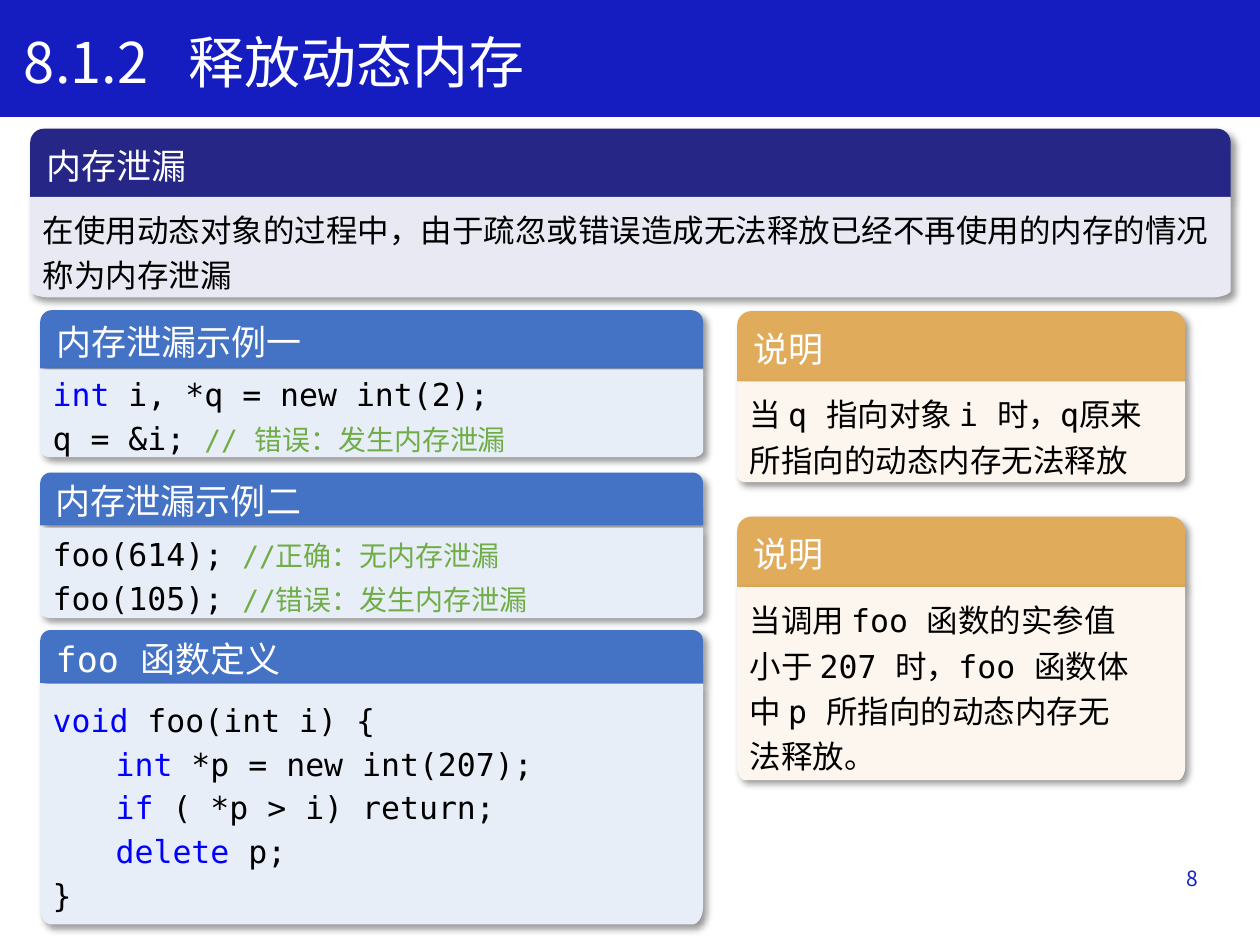
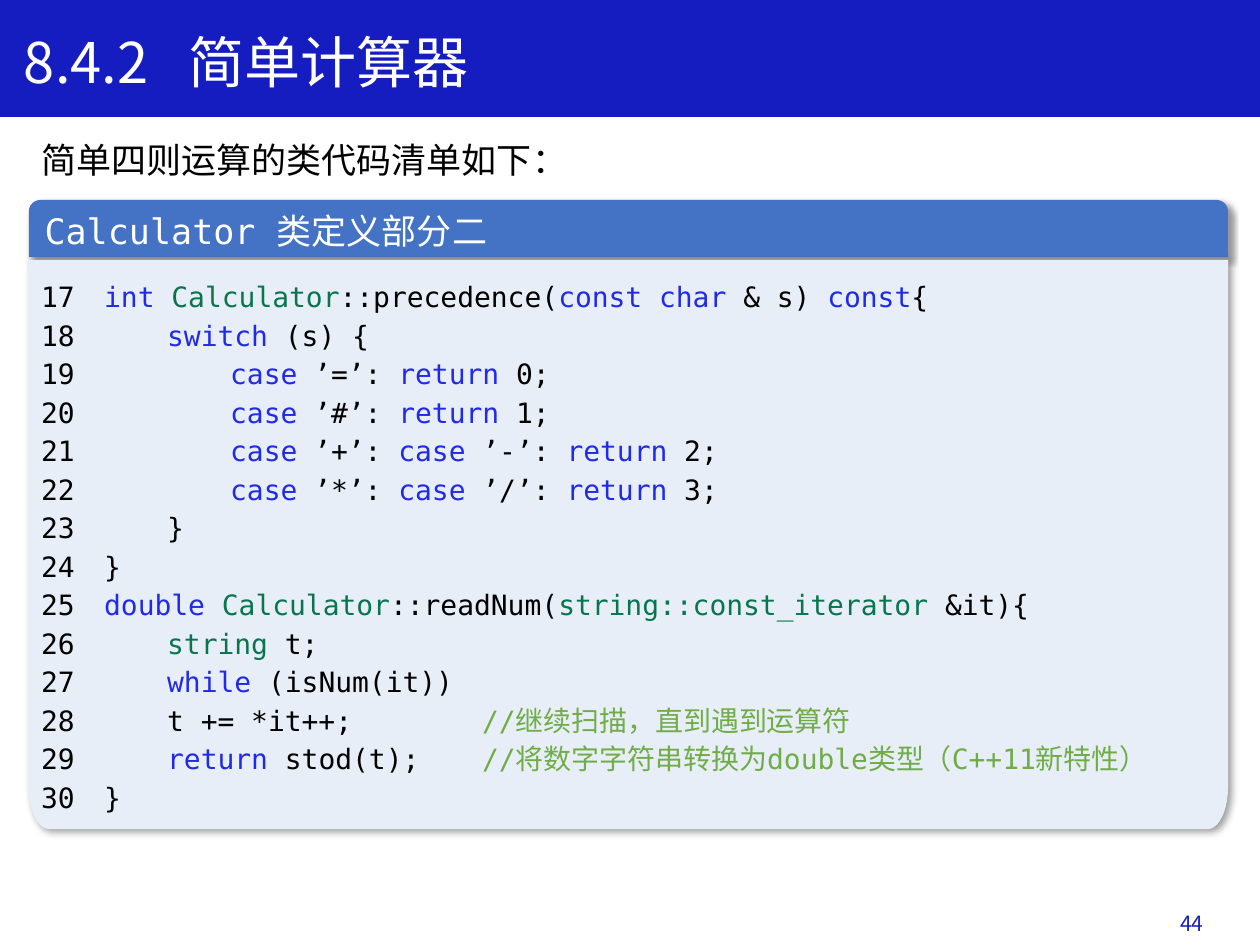
import math
from dataclasses import dataclass
from typing import NamedTuple

from lxml import etree
from pptx import Presentation
from pptx.dml.color import RGBColor
from pptx.enum.shapes import MSO_SHAPE
from pptx.enum.text import MSO_ANCHOR, MSO_AUTO_SIZE, PP_ALIGN
from pptx.oxml.ns import qn
from pptx.util import Pt

RECTANGLE = MSO_SHAPE.RECTANGLE
ROUNDED_TOP = MSO_SHAPE.ROUND_2_SAME_RECTANGLE
TOP, MIDDLE = MSO_ANCHOR.TOP, MSO_ANCHOR.MIDDLE
LEFT, RIGHT = PP_ALIGN.LEFT, PP_ALIGN.RIGHT
NO_AUTOFIT = MSO_AUTO_SIZE.NONE

SANS = "Noto Sans CJK SC"
MONO = "DejaVu Sans Mono"
WHITE, BLACK, BRAND = "FFFFFF", "000000", "151DC1"
KEYWORD, LISTING_KEYWORD = "0000FF", "212AE7"
TYPE_NAME, COMMENT = "08764C", "70AD47"
CODE_TABS = tuple(range(36, 361, 36))
TITLE_TABS = (94,)
ARC_STEPS = 10


class Span(NamedTuple):
    text: str
    color: str = BLACK
    size: float = 18
    font: str = MONO


Line = list[Span]


class Box(NamedTuple):
    left: float
    top: float
    width: float
    height: float

    def lengths(self) -> list[Pt]:
        return [Pt(value) for value in self]


class Theme(NamedTuple):
    header_fill: str
    body_fill: str
    heading_font: str
    line_spacing: float
    anchor: MSO_ANCHOR


DEFINITION = Theme("262686", "E9E9F3", SANS, 26, TOP)
CODE = Theme("4472C4", "E8EEF8", MONO, 25, MIDDLE)
LISTING = CODE._replace(line_spacing=22)
NOTE = Theme("E0AB5B", "FCF6EE", SANS, 26, TOP)


@dataclass
class Panel:
    theme: Theme
    header: Box
    body_top: float
    body_height: float
    heading: str
    lines: list[Line]


def rgb(color: str) -> RGBColor:
    return RGBColor.from_string(color)


def write(frame, lines: list[Line], anchor=TOP, align=LEFT, spacing=None, tabs=()) -> None:
    frame.word_wrap = True
    frame.auto_size = NO_AUTOFIT
    frame.vertical_anchor = anchor
    for index, line in enumerate(lines):
        paragraph = frame.add_paragraph() if index else frame.paragraphs[0]
        if tabs:
            tab_list = etree.SubElement(paragraph._p.get_or_add_pPr(), qn("a:tabLst"))
            for position in tabs:
                etree.SubElement(tab_list, qn("a:tab"), pos=str(Pt(position)), algn="l")
        paragraph.alignment = align
        if spacing:
            paragraph.line_spacing = Pt(spacing)
        for span in line:
            run = paragraph.add_run()
            run.text = span.text
            run.font.size = Pt(span.size)
            run.font.name = span.font
            run.font.color.rgb = rgb(span.color)
            properties = run.font._element
            east_asian = etree.SubElement(properties, qn("a:ea"))
            east_asian.set("typeface", SANS)


def paint(shape, color: str) -> None:
    shape.fill.solid()
    shape.fill.fore_color.rgb = rgb(color)
    shape.line.fill.background()
    shape.shadow.inherit = False


def cast_shadow(shape) -> None:
    effects = shape.element.spPr.find(qn("a:effectLst"))
    shadow = etree.SubElement(effects, qn("a:outerShdw"), blurRad=str(Pt(4)),
                              dist=str(Pt(3)), dir=str(45 * 60000), algn="tl", rotWithShape="0")
    tint = etree.SubElement(shadow, qn("a:srgbClr"), val=BLACK)
    etree.SubElement(tint, qn("a:alpha"), val="40000")


def add_rounded_bottom(slide, box: Box):
    left, top, width, height = box
    right, bottom = left + width, top + height
    radius_x, radius_y = width / 60, height * 0.073
    angles = [math.pi / 2 * step / ARC_STEPS for step in range(ARC_STEPS + 1)]
    right_corner = [(right - radius_x * (1 - math.cos(a)), bottom - radius_y * (1 - math.sin(a)))
                    for a in angles]
    left_corner = [(left + right - x, y) for x, y in reversed(right_corner)]
    outline = [(right, top), *right_corner, *left_corner]
    builder = slide.shapes.build_freeform(Pt(left), Pt(top))
    builder.add_line_segments([(Pt(x), Pt(y)) for x, y in outline], close=True)
    return builder.convert_to_shape()


def add_panel(slide, panel: Panel) -> None:
    theme = panel.theme
    header = slide.shapes.add_shape(ROUNDED_TOP, *panel.header.lengths())
    header.adjustments[0], header.adjustments[1] = 0.201, 0
    body = add_rounded_bottom(
        slide, panel.header._replace(top=panel.body_top, height=panel.body_height))
    for part, color in ((header, theme.header_fill), (body, theme.body_fill)):
        paint(part, color)
        cast_shadow(part)
    write(header.text_frame, [[Span(panel.heading, WHITE, 20, theme.heading_font)]], MIDDLE)
    write(body.text_frame, panel.lines, theme.anchor, spacing=theme.line_spacing, tabs=CODE_TABS)


def add_text(slide, box: Box, span: Span, anchor=TOP, align=LEFT) -> None:
    write(slide.shapes.add_textbox(*box.lengths()).text_frame, [[span]], anchor, align)


def add_band(layout, slide, width: Pt) -> None:
    band = slide.shapes.add_shape(RECTANGLE, 0, 0, width, Pt(66.24))
    paint(band, BRAND)
    band.line.color.rgb = rgb(BRAND)
    band.line.width = Pt(1)
    layout.shapes.element.insert(2, band.element)


def add_slide(deck, layout, section: str, topic: str, number: int, number_box: Box):
    slide = deck.slides.add_slide(layout)
    title = slide.shapes.title
    title.left, title.top, title.width, title.height = Box(6.5, 12.25, 670.3, 46).lengths()
    write(title.text_frame, [[Span(f"{section}\t{topic}", WHITE, 32, SANS)]], tabs=TITLE_TABS)
    add_text(slide, number_box, Span(str(number), BRAND, 12, SANS), MIDDLE, RIGHT)
    return slide


def remark(text: str) -> Span:
    return Span(text, COMMENT, 16)


def keyword(text: str) -> Span:
    return Span(text, KEYWORD)


def plain(text: str) -> Span:
    return Span(text, BLACK, 16)


def reserved(text: str) -> Span:
    return Span(text, LISTING_KEYWORD, 16)


def type_name(text: str) -> Span:
    return Span(text, TYPE_NAME, 16)


def case_line(symbols: str, rank: int) -> Line:
    line = [plain("\t\t")]
    for symbol in symbols:
        line += [reserved("case"), plain(f" ’{symbol}’: ")]
    return line + [reserved("return"), plain(f" {rank};")]


def numbered(lines: list[Line], start: int) -> list[Line]:
    return [[plain(f"{number} \t"), *line] for number, line in enumerate(lines, start)]


LEAK_PANELS = [
    Panel(CODE, Box(23, 177.25, 378.75, 33.25), 211, 50.25, "内存泄漏示例一", [
        [keyword("int "), Span("i, *q = new int(2);")],
        [Span("q = &i; "), remark("// 错误：发生内存泄漏")],
    ]),
    Panel(DEFINITION, Box(17.25, 73.5, 686, 39.25), 112.5, 57.5, "内存泄漏", [
        [Span("在使用动态对象的过程中，由于疏忽或错误造成无法释放"
              "已经不再使用的内存的情况称为内存泄漏")],
    ]),
    Panel(NOTE, Box(421.25, 177.8, 256, 40.25), 218, 57.5, "说明", [
        [Span("当 q 指向对象 i 时，q原来所指向的动态内存无法释放")],
    ]),
    Panel(CODE, Box(23, 270, 378.75, 30.25), 301.5, 51.75, "内存泄漏示例二", [
        [Span("foo(614); "), remark("//正确：无内存泄漏")],
        [Span("foo(105); "), remark("//错误：发生内存泄漏")],
    ]),
    Panel(CODE, Box(23, 360, 378.75, 30.25), 391, 137.25, "foo 函数定义", [
        [keyword("void "), Span("foo(int i) {")],
        [keyword("\tint "), Span("*p = new int(207);")],
        [keyword("\tif "), Span("( *p > i) return;")],
        [keyword("\tdelete "), Span("p;")],
        [Span("}")],
    ]),
    Panel(NOTE, Box(421.25, 295.25, 256, 40.25), 335.5, 110.25, "说明", [
        [Span("当调用 foo 函数的实参值")],
        [Span("小于 207 时，foo 函数体")],
        [Span("中 p 所指向的动态内存无")],
        [Span("法释放。")],
    ]),
]

CALCULATOR_LINES = [
    [reserved("int "), type_name("Calculator"), plain("::precedence("), reserved("const char "),
     plain("& s) "), reserved("const"), plain("{")],
    [plain("\t"), reserved("switch"), plain(" (s) {")],
    case_line("=", 0),
    case_line("#", 1),
    case_line("+-", 2),
    case_line("*/", 3),
    [plain("\t}")],
    [plain("}")],
    [reserved("double "), type_name("Calculator"), plain("::readNum("),
     type_name("string::const_iterator "), plain("&it){")],
    [plain("\t"), type_name("string"), plain(" t;")],
    [plain("\t"), reserved("while"), plain(" (isNum(it))")],
    [plain("\tt += *it++; \t\t"), remark("//继续扫描，直到遇到运算符")],
    [plain("\t"), reserved("return "), plain("stod(t); \t"),
     remark("//将数字字符串转换为double类型（C++11新特性）")],
    [plain("}")],
]
CALCULATOR_PANEL = Panel(LISTING, Box(16.5, 114.25, 685.25, 32.75), 148.5, 325.25,
                         "Calculator 类定义部分二", numbered(CALCULATOR_LINES, 17))


def main() -> None:
    deck = Presentation()
    deck.slide_width, deck.slide_height = Pt(720), Pt(540)
    title_only = deck.slide_layouts[5]

    leak = add_slide(deck, title_only, "8.1.2", "释放动态内存", 8, Box(530, 487.5, 162, 28.75))
    add_band(title_only, leak, deck.slide_width)
    for panel in LEAK_PANELS:
        add_panel(leak, panel)

    calculator = add_slide(deck, title_only, "8.4.2", "简单计算器", 44, Box(532.75, 513.25, 162, 28.75))
    add_text(calculator, Box(16.5, 75.5, 678.25, 31.5),
             Span("简单四则运算的类代码清单如下：", BLACK, 20, SANS))
    add_panel(calculator, CALCULATOR_PANEL)

    deck.save("out.pptx")


if __name__ == "__main__":
    main()
